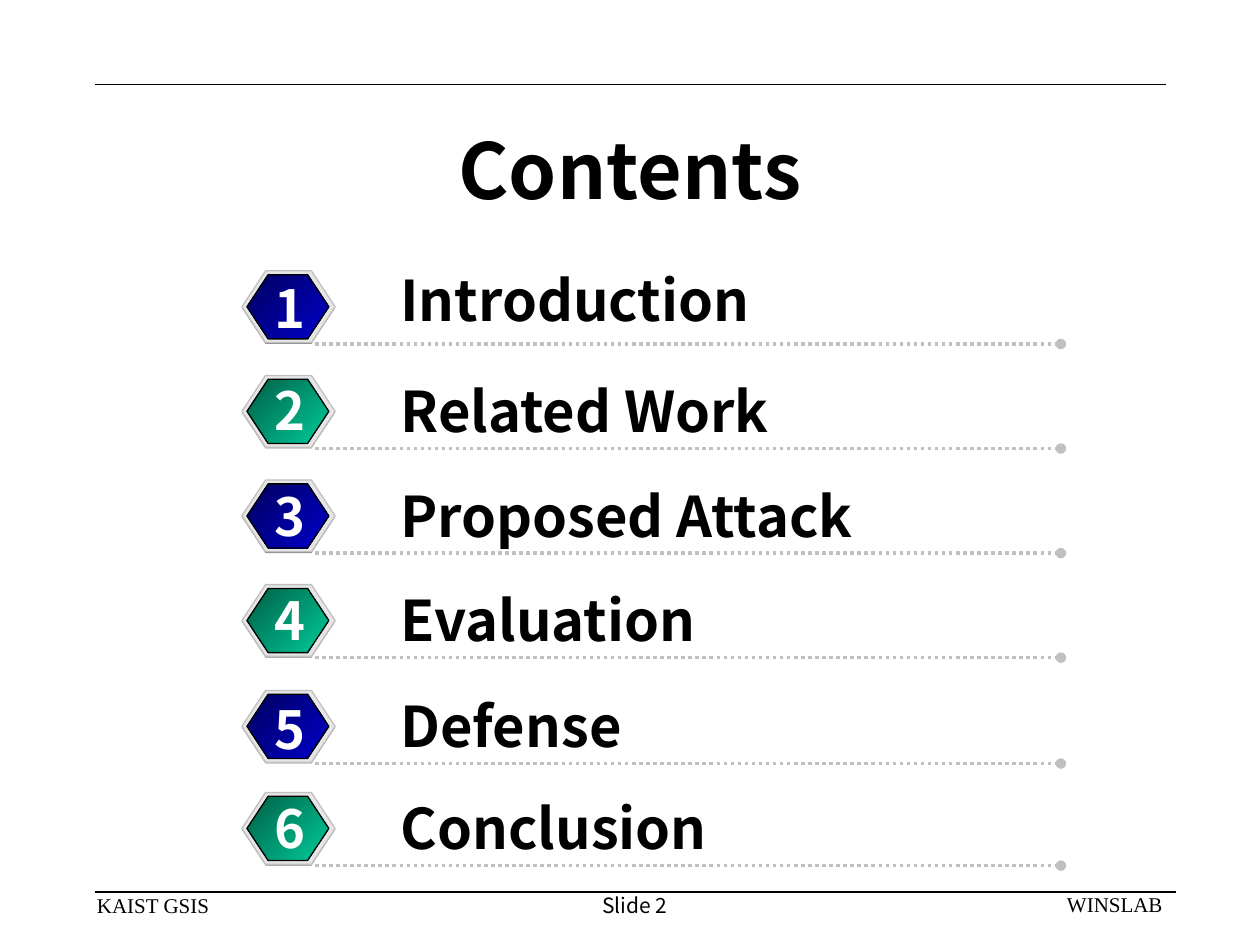
import pptx
import pptx.util
from pptx.dml.color import RGBColor
from pptx.enum.dml import MSO_LINE
from pptx.enum.shapes import MSO_CONNECTOR, MSO_SHAPE
from pptx.enum.text import MSO_ANCHOR, MSO_AUTO_SIZE, PP_ALIGN
from pptx.oxml.ns import qn
from lxml import etree

PX = 9144  # 100 px to the inch
SANS = "Noto Sans CJK KR"
SERIF = "Times New Roman"
BLACK = RGBColor(0x00, 0x00, 0x00)
WHITE = RGBColor(0xFF, 0xFF, 0xFF)
SHADE = RGBColor(0x80, 0x80, 0x80)
RIM = RGBColor(0xE6, 0xE6, 0xE6)
SILVER = RGBColor(0xC0, 0xC0, 0xC0)
BLUES = (RGBColor(0x00, 0x00, 0x5E), RGBColor(0x00, 0x00, 0xCC))
GREENS = (RGBColor(0x00, 0x5E, 0x47), RGBColor(0x00, 0xCC, 0x99))

presentation = pptx.Presentation()
presentation.slide_width = 1000 * PX
presentation.slide_height = 750 * PX
slide = presentation.slides.add_slide(presentation.slide_layouts[5])


def add_text(text, left, top, width, height, size, font=SANS, color=BLACK,
             bold=False, align=PP_ALIGN.LEFT, wrap=False, margins=(10, 5)):
    box = slide.shapes.add_textbox(left * PX, top * PX, width * PX, height * PX)
    frame = box.text_frame
    frame.word_wrap = wrap
    frame.auto_size = MSO_AUTO_SIZE.SHAPE_TO_FIT_TEXT
    frame.margin_left = frame.margin_right = margins[0] * PX
    frame.margin_top = frame.margin_bottom = margins[1] * PX
    paragraph = frame.paragraphs[0]
    paragraph.text = text
    paragraph.alignment = align
    paragraph.font.name = font
    paragraph.font.size = pptx.util.Pt(size)
    paragraph.font.bold = bold
    paragraph.font.color.rgb = color


def add_line(left, right, y, color, width):
    line = slide.shapes.add_connector(
        MSO_CONNECTOR.STRAIGHT, left * PX, y * PX, right * PX, y * PX)
    line.line.color.rgb = color
    line.line.width = pptx.util.Pt(width)
    etree.SubElement(line._element.spPr, qn("a:effectLst"))
    return line


# Frame rules and footer
add_line(75, 933, 708, BLACK, 1)
add_line(75, 925, 67, BLACK, 1)
add_text("WINSLAB", 837, 703, 96, 30, 12, SERIF)
add_text("KAIST GSIS", 77, 708, 89, 20, 12, SERIF,
         align=PP_ALIGN.CENTER, margins=(0, 0))
add_text("Slide 2", 442, 708, 124, 23, 12, align=PP_ALIGN.CENTER, margins=(0, 0))

# Title
title = slide.shapes.title
title.left, title.top, title.width, title.height = 75 * PX, 75 * PX, 850 * PX, 117 * PX
title.text_frame.vertical_anchor = MSO_ANCHOR.MIDDLE
paragraph = title.text_frame.paragraphs[0]
paragraph.text = "Contents"
paragraph.alignment = PP_ALIGN.CENTER
paragraph.font.name = SANS
paragraph.font.size = pptx.util.Pt(44)
paragraph.font.bold = True
paragraph.font.color.rgb = BLACK

# Agenda rows: label, label width, label top, number top, dotted line y
rows = [
    ("Introduction", 492, 206, 214, 273),
    ("Related Work", 508, 294, 295, 356),
    ("Proposed Attack", 542, 377, 379, 439),
    ("Evaluation", 575, 460, 462, 522),
    ("Defense", 483, 544, 548, 606),
    ("Conclusion", 575, 625, 627, 687),
]
for number, (label, label_width, label_top, number_top, line_y) in enumerate(rows, 1):
    # Hexagon badge: shade, rim and gradient face
    badge = slide.shapes.add_group_shape()
    layers = [
        (192, line_y - 57, 74, 57, SHADE, None),
        (192, line_y - 58, 74, 57, RIM, SILVER),
        (196, line_y - 55, 65, 51, None, BLACK),
    ]
    for left, top, width, height, fill, outline in layers:
        hexagon = badge.shapes.add_shape(
            MSO_SHAPE.HEXAGON, left * PX, top * PX, width * PX, height * PX)
        hexagon.shadow.inherit = False
        hexagon.adjustments[0] = 0.33
        if fill:
            hexagon.fill.solid()
            hexagon.fill.fore_color.rgb = fill
        else:
            hexagon.fill.gradient()
            hexagon.fill.gradient_angle = 315
            colors = BLUES if number % 2 else GREENS
            for position, (stop, color) in enumerate(
                    zip(hexagon.fill.gradient_stops, colors)):
                stop.position = position
                stop.color.rgb = color
        if outline:
            hexagon.line.color.rgb = outline
            hexagon.line.width = pptx.util.Pt(0.75)
        else:
            hexagon.line.fill.background()

    # Dotted line with a round end
    leader = add_line(250, 842, line_y, SILVER, 2)
    leader.line.dash_style = MSO_LINE.ROUND_DOT
    etree.SubElement(leader.line._get_or_add_ln(), qn("a:tailEnd"), type="oval")

    # Label and number
    add_text(label, 308, label_top, label_width, 64, 32, bold=True, wrap=True)
    add_text(str(number), 208, number_top, 44, 60, 30, color=WHITE,
             bold=True, align=PP_ALIGN.CENTER)

presentation.save("out.pptx")
